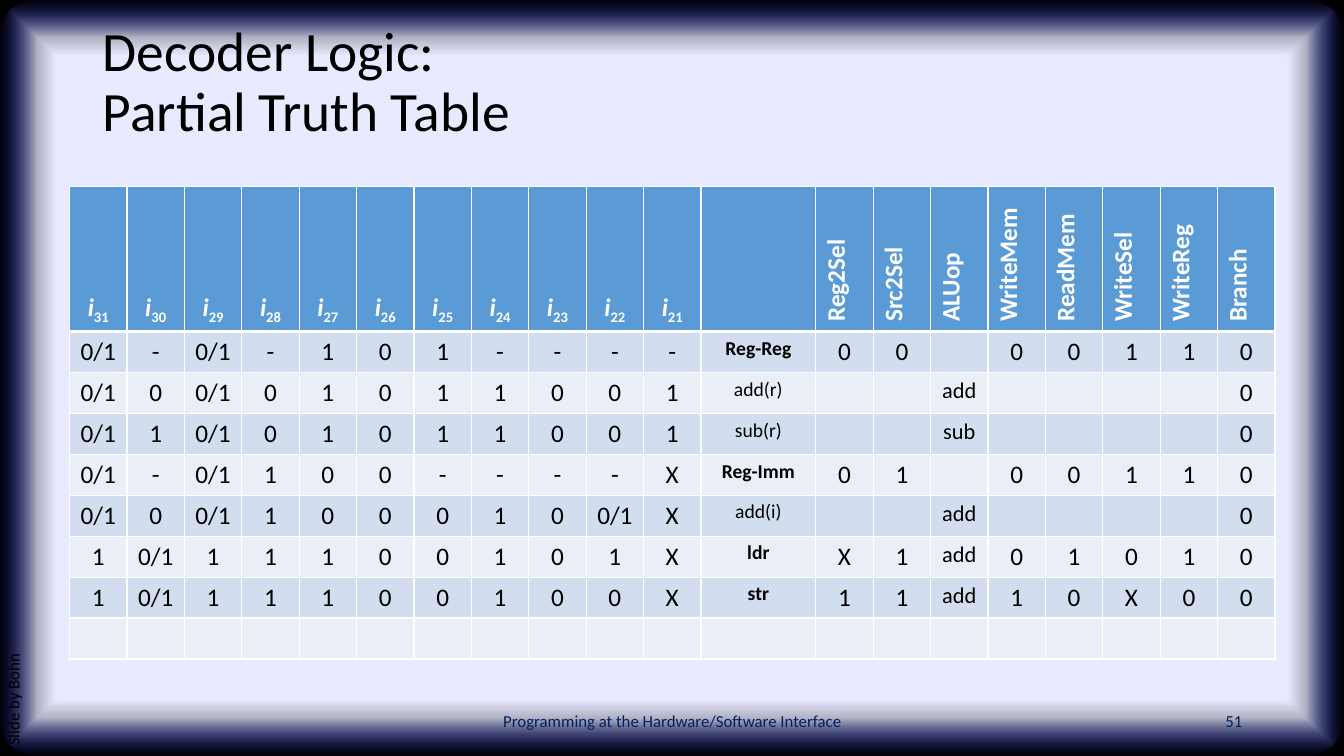
from pptx import Presentation
from pptx.dml.color import RGBColor
from pptx.enum.shapes import MSO_SHAPE
from pptx.enum.text import MSO_ANCHOR, MSO_AUTO_SIZE, PP_ALIGN
from pptx.oxml import parse_xml
from pptx.oxml.ns import nsdecls
from pptx.util import Inches, Pt

LEFT, CENTER, RIGHT = PP_ALIGN.LEFT, PP_ALIGN.CENTER, PP_ALIGN.RIGHT
TOP, MIDDLE, BOTTOM = MSO_ANCHOR.TOP, MSO_ANCHOR.MIDDLE, MSO_ANCHOR.BOTTOM
NO_AUTOFIT = MSO_AUTO_SIZE.NONE

THEME = {
    "font": "Calibri",
    "ink": "000000", "footer": "002060", "frame": "000000", "rule": "FFFFFF",
    "panel": "E8EAFF", "glow": "162AFF",
    "head": "5B9BD5", "head_ink": "FFFFFF", "bands": ("D2DEEF", "EAEFF7"),
    "title_size": 39.6, "cell_size": 18, "operation_size": 16,
    "label_size": 14, "small_size": 12,
}
SLIDE_W, SLIDE_H = 13.33, 7.5
TABLE_LEFT, TABLE_TOP, TABLE_W, TABLE_H = 0.69, 1.85, 11.96, 4.69
HEAD_H = 1.44
FOOTER_TOP, FOOTER_H = 6.95, 0.4

BITS = range(31, 20, -1)
SIGNALS = "Reg2Sel Src2Sel ALUop WriteMem ReadMem WriteSel WriteReg Branch".split()
LABEL_COLUMN = len(BITS)
ALU_COLUMN = LABEL_COLUMN + 1 + SIGNALS.index("ALUop")
COLUMN_COUNT = LABEL_COLUMN + 1 + len(SIGNALS)
EMPTY = "_"
TRUTH_ROWS = [
    "0/1 - 0/1 - 1 0 1 - - - - Reg-Reg 0 0 _ 0 0 1 1 0",
    "0/1 0 0/1 0 1 0 1 1 0 0 1 add(r) _ _ add _ _ _ _ 0",
    "0/1 1 0/1 0 1 0 1 1 0 0 1 sub(r) _ _ sub _ _ _ _ 0",
    "0/1 - 0/1 1 0 0 - - - - X Reg-Imm 0 1 _ 0 0 1 1 0",
    "0/1 0 0/1 1 0 0 0 1 0 0/1 X add(i) _ _ add _ _ _ _ 0",
    "1 0/1 1 1 1 0 0 1 0 1 X ldr X 1 add 0 1 0 1 0",
    "1 0/1 1 1 1 0 0 1 0 0 X str 1 1 add 1 0 X 0 0",
    " ".join([EMPTY] * COLUMN_COUNT),
]


def write(paragraph, text, size, color, **styles):
    run = paragraph.add_run()
    run.text = text
    run.font.color.rgb = RGBColor.from_string(color)
    for name, value in {"name": THEME["font"], "size": Pt(size), "bold": False, **styles}.items():
        setattr(run.font, name, value)
    return run


def paint_cell(cell, color, bottom_width):
    properties = cell._tc.get_or_add_tcPr()
    for side, width in {"L": 1, "R": 1, "T": 1, "B": bottom_width}.items():
        properties.append(parse_xml(
            f'<a:ln{side} {nsdecls("a")} w="{Pt(width)}"><a:solidFill>'
            f'<a:srgbClr val="{THEME["rule"]}"/></a:solidFill></a:ln{side}>'))
    cell.fill.solid()
    cell.fill.fore_color.rgb = RGBColor.from_string(color)


prs = Presentation()
prs.slide_width, prs.slide_height = Inches(SLIDE_W), Inches(SLIDE_H)
slide = prs.slides.add_slide(prs.slide_layouts[1])
shapes = slide.shapes

frame, panel = [
    shapes.add_shape(preset, 0, 0, prs.slide_width, prs.slide_height)
    for preset in (MSO_SHAPE.RECTANGLE, MSO_SHAPE.ROUNDED_RECTANGLE)
]
for depth, backdrop in enumerate((frame, panel)):
    backdrop.shadow.inherit = False
    backdrop.line.fill.background()
    shapes._spTree.insert(2 + depth, backdrop._element)
frame.fill.solid()
frame.fill.fore_color.rgb = RGBColor.from_string(THEME["frame"])
panel.adjustments[0] = 0.05
stops = "".join(
    f'<a:gs pos="{place * 1000}"><a:srgbClr val="{THEME[color]}">'
    f'<a:alpha val="{alpha * 1000}"/></a:srgbClr></a:gs>'
    for place, color, alpha in ((85, "panel", 100), (90, "panel", 75), (100, "glow", 0)))
panel._element.spPr.insert(2, parse_xml(
    f'<a:gradFill {nsdecls("a")} rotWithShape="1"><a:gsLst>{stops}</a:gsLst><a:path path="shape">'
    '<a:fillToRect l="50000" t="50000" r="50000" b="50000"/></a:path></a:gradFill>'))

title, credit = shapes.title, slide.placeholders[1]
footer, page = [shapes.add_textbox(0, 0, 0, 0) for _ in range(2)]
texts = [
    (title, (0.92, 0.4, 11.5, 1.45), "Decoder Logic:\vPartial Truth Table",
     "title_size", "ink", MIDDLE, {"alignment": LEFT, "line_spacing": 0.9}),
    (credit, (-2.44, 4.66, 5.28, 0.4), "Slide by Bohn",
     "small_size", "ink", TOP, {"alignment": LEFT, "line_spacing": 0.9, "space_before": Pt(10)}),
    (footer, (4.42, FOOTER_TOP, 4.5, FOOTER_H), "Programming at the Hardware/Software Interface",
     "small_size", "footer", MIDDLE, {"alignment": CENTER}),
    (page, (9.42, FOOTER_TOP, 3, FOOTER_H), "51",
     "small_size", "footer", MIDDLE, {"alignment": RIGHT}),
]
for holder, place, wording, size, color, anchor, layout in texts:
    for name, value in zip(("left", "top", "width", "height"), place):
        setattr(holder, name, Inches(value))
    body = holder.text_frame
    for name, value in {"word_wrap": True, "auto_size": NO_AUTOFIT, "vertical_anchor": anchor}.items():
        setattr(body, name, value)
    paragraph = body.paragraphs[0]
    for name, value in layout.items():
        setattr(paragraph, name, value)
    for number, line in enumerate(wording.split("\v")):
        if number:
            paragraph.add_line_break()
        write(paragraph, line, THEME[size], THEME[color])
title.text_frame.margin_bottom = Inches(0.65)
credit.rotation = 270
bullet_off = credit.text_frame.paragraphs[0]._p.get_or_add_pPr()
for name in ("marL", "indent"):
    bullet_off.set(name, "0")
bullet_off.append(parse_xml(f'<a:buNone {nsdecls("a")}/>'))

truth_table = shapes.add_table(
    len(TRUTH_ROWS) + 1, COLUMN_COUNT,
    *map(Inches, (TABLE_LEFT, TABLE_TOP, TABLE_W, TABLE_H))).table
unit = TABLE_W / (COLUMN_COUNT + 1)
for index, column in enumerate(truth_table.columns):
    column.width = Inches(unit * (2 if index == LABEL_COLUMN else 1))
for index, row in enumerate(truth_table.rows):
    row.height = Inches((TABLE_H - HEAD_H) / len(TRUTH_ROWS) if index else HEAD_H)

head_style = {"size": THEME["cell_size"], "color": THEME["head_ink"], "bold": True}
for index, heading in enumerate([*BITS, EMPTY, *SIGNALS]):
    cell = truth_table.cell(0, index)
    paint_cell(cell, THEME["head"], 3)
    paragraph = cell.text_frame.paragraphs[0]
    if index < LABEL_COLUMN:
        cell.vertical_anchor = BOTTOM
        paragraph.alignment = CENTER
        write(paragraph, "i", italic=True, **head_style)
        subscript = write(paragraph, str(heading), **head_style)
        subscript._r.get_or_add_rPr().set("baseline", "-25000")
    elif heading != EMPTY:
        cell._tc.get_or_add_tcPr().set("vert", "vert270")
        write(paragraph, heading, **head_style)

column_sizes = {LABEL_COLUMN: THEME["label_size"], ALU_COLUMN: THEME["operation_size"]}
for row_index, truth_row in enumerate(TRUTH_ROWS):
    for index, value in enumerate(truth_row.split()):
        cell = truth_table.cell(row_index + 1, index)
        paint_cell(cell, THEME["bands"][row_index % 2], 1)
        if value != EMPTY:
            paragraph = cell.text_frame.paragraphs[0]
            paragraph.alignment = CENTER
            write(paragraph, value, column_sizes.get(index, THEME["cell_size"]), THEME["ink"],
                  bold=index == LABEL_COLUMN and "(" not in value)

prs.save("out.pptx")
